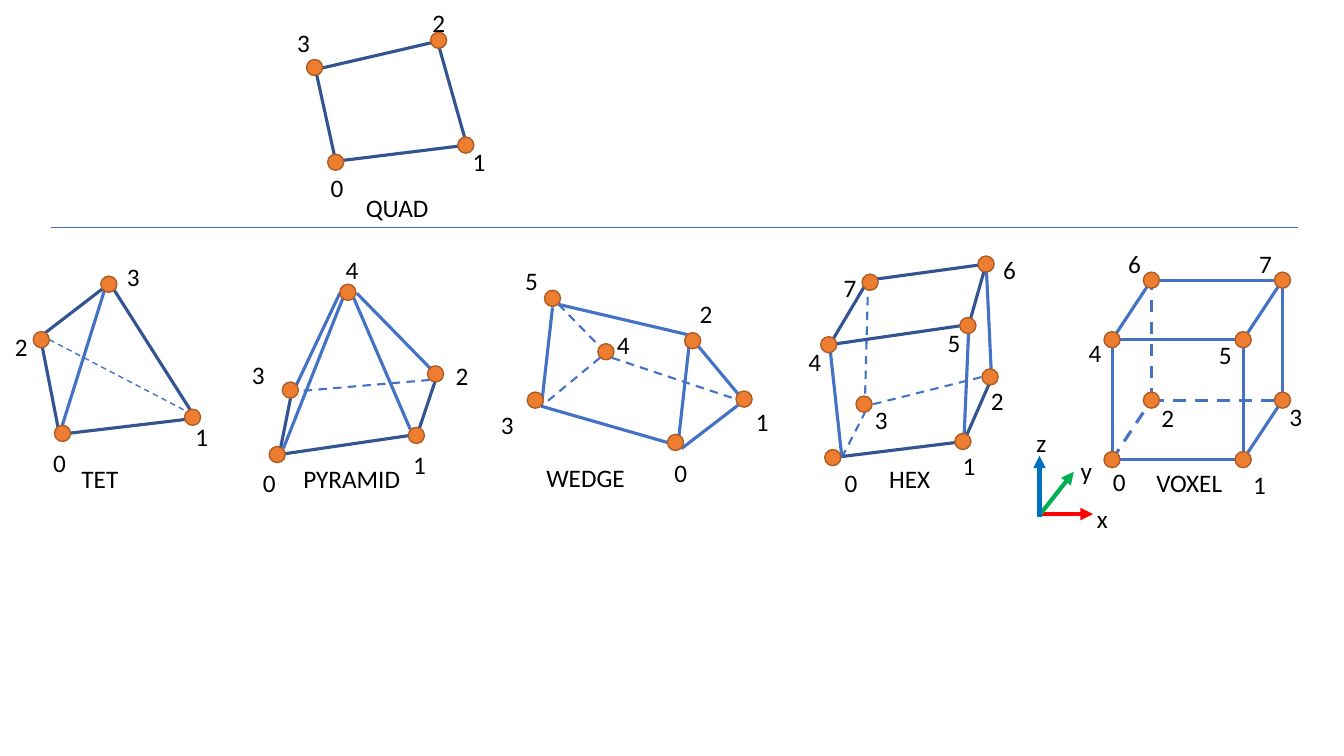
from dataclasses import dataclass
from itertools import combinations, product

from lxml.etree import SubElement
from pptx import Presentation
from pptx.dml.color import RGBColor
from pptx.enum.dml import MSO_LINE
from pptx.enum.shapes import MSO_CONNECTOR, MSO_SHAPE
from pptx.enum.text import MSO_AUTO_SIZE
from pptx.oxml.ns import qn
from pptx.util import Inches, Pt

Point = tuple[float, float]
Edge = tuple[Point, Point]


@dataclass(frozen=True)
class Theme:
    """Colours, type and line sizes of the slide."""

    font: str = "Calibri"
    text_size: float = 18
    text: str = "000000"
    node: str = "ED7D31"
    node_border: str = "AF5C24"
    outline: str = "325491"
    edge: str = "4472C4"
    axis_x: str = "FF0000"
    axis_y: str = "00B050"
    axis_z: str = "0070C0"
    hairline: float = 0.5
    thin: float = 1
    hidden: float = 1.5
    thick: float = 2.25
    arrow: float = 3


@dataclass(frozen=True)
class Outline:
    """A run of cell borders drawn as one line."""

    points: tuple[Point, ...]
    closed: bool = True


@dataclass(frozen=True)
class Cell:
    """A mesh cell; nodes and labels follow the node numbering."""

    name: str
    name_at: Point
    nodes: tuple[Point, ...]
    labels: tuple[Point, ...]
    outlines: tuple[Outline, ...] = ()
    edges: tuple[Edge, ...] = ()
    hidden_edges: tuple[Edge, ...] = ()
    hidden_width: float = Theme.hidden


@dataclass(frozen=True)
class Axis:
    """A coordinate arrow with its letter."""

    name: str
    name_at: Point
    start: Point
    end: Point
    color: str


THEME = Theme()
NODE_SIZE = 0.16

QUAD = Cell(
    "QUAD", (3.53, 1.86),
    nodes=((3.33, 1.61), (4.62, 1.44), (4.35, 0.4), (3.12, 0.67)),
    labels=((3.18, 1.66), (4.59, 1.4), (4.19, 0.02), (2.85, 0.22)),
    outlines=(Outline(((3.33, 1.6), (4.63, 1.44), (4.34, 0.41), (3.13, 0.69))),),
)
TET = Cell(
    "TET", (0.71, 4.55),
    nodes=((0.62, 4.3), (1.91, 4.14), (0.41, 3.37), (1.08, 2.82)),
    labels=((0.43, 4.39), (1.84, 4.13), (0.05, 3.24), (1.16, 2.54)),
    outlines=(Outline(((0.59, 4.31), (0.4, 3.34), (1.09, 2.81), (1.94, 4.15))),),
    edges=(((0.59, 4.31), (1.08, 2.74)),),
    hidden_edges=(((0.49, 3.37), (1.85, 4.08)),),
    hidden_width=THEME.thin,
)
PYRAMID = Cell(
    "PYRAMID", (2.91, 4.55),
    nodes=((2.75, 4.51), (4.13, 4.32), (4.32, 3.71), (2.88, 3.87), (3.45, 2.9)),
    labels=((2.51, 4.59), (4, 4.41), (4.42, 3.53), (2.4, 3.52), (3.33, 2.47)),
    outlines=(Outline(((2.9, 3.86), (2.77, 4.51), (4.14, 4.31), (4.34, 3.71)), closed=False),),
    edges=(((3.51, 2.96), (4.07, 4.26)), ((3.54, 2.91), (4.38, 3.77)),
           ((3.4, 2.96), (2.81, 4.45)), ((3.37, 2.91), (2.94, 3.82))),
    hidden_edges=(((4.26, 3.77), (2.97, 3.88)),),
)
WEDGE = Cell(
    "WEDGE", (5.32, 4.54),
    nodes=((6.7, 4.39), (7.38, 3.96), (6.87, 3.38), (5.31, 3.97), (6.01, 3.49), (5.48, 2.96)),
    labels=((6.59, 4.49), (7.4, 3.98), (6.84, 2.91), (4.87, 4.01), (6.02, 3.22), (5.11, 2.58)),
    edges=(((6.93, 3.44), (7.38, 3.98)), ((6.76, 4.45), (7.32, 4.02)),
           ((5.37, 4.03), (6.62, 4.39)), ((5.37, 4.03), (5.48, 3.05)),
           ((6.73, 4.36), (6.84, 3.38)), ((5.54, 3.02), (6.82, 3.32))),
    hidden_edges=(((5.54, 3.02), (5.95, 3.44)), ((6.07, 3.55), (7.3, 3.96)),
                  ((5.95, 3.55), (5.37, 4.03))),
)
HEX = Cell(
    "HEX", (8.72, 4.55),
    nodes=((8.26, 4.54), (9.55, 4.38), (9.82, 3.74), (8.57, 4.01),
           (8.22, 3.42), (9.6, 3.23), (9.78, 2.62), (8.63, 2.8)),
    labels=((8.28, 4.59), (9.45, 4.42), (9.73, 3.77), (8.58, 3.96),
            (7.92, 3.39), (9.3, 3.2), (9.85, 2.47), (8.27, 2.65)),
    outlines=(Outline(((8.26, 4.54), (9.56, 4.38), (9.85, 3.72)), closed=False),
              Outline(((8.23, 3.42), (9.61, 3.22), (9.78, 2.62), (8.61, 2.78)))),
    edges=(((8.22, 3.34), (8.35, 4.54)), ((9.61, 3.22), (9.56, 4.38)),
           ((9.78, 2.6), (9.83, 3.66))),
    hidden_edges=(((8.61, 2.8), (8.58, 3.93)), ((8.66, 4.01), (9.74, 3.74)),
                  ((8.35, 4.54), (8.58, 4.09))),
)
AXES = (
    Axis("x", (10.78, 4.94), (10.31, 5.1), (10.84, 5.1), THEME.axis_x),
    Axis("y", (10.62, 4.47), (10.31, 5.11), (10.65, 4.68), THEME.axis_y),
    Axis("z", (10.18, 4.19), (10.31, 5.13), (10.31, 4.52), THEME.axis_z),
)


def make_voxel() -> Cell:
    """Build the voxel from its corner grid; edges at the rear corner 2 are hidden."""
    corners = tuple((11.03 + 1.3 * x + 0.39 * y, 4.56 - 0.59 * y - 1.19 * z)
                    for z, y, x in product((0, 1), repeat=3))
    pairs = [pair for pair in combinations(range(8), 2) if pair[0] ^ pair[1] in (1, 2, 4)]
    return Cell(
        "VOXEL", (11.37, 4.59), corners,
        labels=((10.94, 4.58), (12.33, 4.61), (11.42, 3.94), (12.69, 3.93),
                (10.7, 3.3), (11.99, 3.32), (11.09, 2.41), (12.39, 2.41)),
        edges=tuple((corners[a], corners[b]) for a, b in pairs if 2 not in (a, b)),
        hidden_edges=tuple((corners[a], corners[b]) for a, b in pairs if 2 in (a, b)),
        hidden_width=THEME.thick,
    )


def add_text(shapes, text: str, *, at: Point, width: float = 0.33, height: float = 0.4,
             size: float = THEME.text_size, color: str = THEME.text) -> None:
    """Add one unwrapped line of text at its left top corner."""
    box = shapes.add_textbox(Inches(at[0]), Inches(at[1]), Inches(width), Inches(height))
    box.text_frame.word_wrap = False
    box.text_frame.auto_size = MSO_AUTO_SIZE.SHAPE_TO_FIT_TEXT
    span = box.text_frame.paragraphs[0].add_run()
    span.text = text
    span.font.name, span.font.size = THEME.font, Pt(size)
    span.font.color.rgb = RGBColor.from_string(color)


def set_line(shape, color: str, width: float) -> None:
    """Set the line colour and width of a shape."""
    shape.line.color.rgb = RGBColor.from_string(color)
    shape.line.width = Pt(width)


def add_line(shapes, start: Point, end: Point, *, color: str = THEME.edge,
             width: float = THEME.thick, dashed: bool = False, arrow: bool = False) -> None:
    """Add a straight connector, optionally dashed or with an arrowhead."""
    line = shapes.add_connector(MSO_CONNECTOR.STRAIGHT, *map(Inches, (*start, *end)))
    set_line(line, color, width)
    if dashed:
        line.line.dash_style = MSO_LINE.DASH
    properties = line._element.spPr
    if arrow:
        SubElement(properties.find(qn("a:ln")), qn("a:tailEnd"), type="triangle")
    SubElement(properties, qn("a:effectLst"))


def add_outline(shapes, outline: Outline) -> None:
    """Add an unfilled freeform along the outline."""
    points = [(Inches(x), Inches(y)) for x, y in outline.points]
    builder = shapes.build_freeform(*points[0])
    builder.add_line_segments(points[1:], close=outline.closed)
    shape = builder.convert_to_shape()
    shape.shadow.inherit = False
    shape.fill.background()
    set_line(shape, THEME.outline, THEME.thick)


def add_node(shapes, center: Point) -> None:
    """Add a round node about its centre."""
    left, top = (Inches(value - NODE_SIZE / 2) for value in center)
    node = shapes.add_shape(MSO_SHAPE.OVAL, left, top, Inches(NODE_SIZE), Inches(NODE_SIZE))
    node.shadow.inherit = False
    node.fill.solid()
    node.fill.fore_color.rgb = RGBColor.from_string(THEME.node)
    set_line(node, THEME.node_border, THEME.thin)


def add_cell(page, cell: Cell) -> None:
    """Add a cell as a group, with its name beside it."""
    shapes = page.shapes.add_group_shape().shapes
    for start, end in cell.hidden_edges:
        add_line(shapes, start, end, width=cell.hidden_width, dashed=True)
    for outline in cell.outlines:
        add_outline(shapes, outline)
    for start, end in cell.edges:
        add_line(shapes, start, end)
    for center in cell.nodes:
        add_node(shapes, center)
    for number, corner in enumerate(cell.labels):
        add_text(shapes, str(number), at=corner)
    name_widths = {"QUAD": 0.83, "TET": 0.57, "PYRAMID": 1.17, "WEDGE": 0.99, "HEX": 0.61, "VOXEL": 0.86}
    add_text(page.shapes, cell.name, at=cell.name_at, width=name_widths[cell.name])


deck = Presentation()
deck.slide_width, deck.slide_height = Inches(13.33), Inches(7.5)
page = deck.slides.add_slide(deck.slide_layouts[6])
for cell in (QUAD, TET, PYRAMID, WEDGE, HEX, make_voxel()):
    add_cell(page, cell)
add_line(page.shapes, (0.51, 2.26), (12.87, 2.26), width=THEME.hairline)
axis_shapes = page.shapes.add_group_shape().shapes
for axis in AXES:
    add_line(axis_shapes, axis.start, axis.end, color=axis.color, width=THEME.arrow, arrow=True)
    add_text(axis_shapes, axis.name, at=axis.name_at, width=0.24, height=0.31)
deck.save("out.pptx")
